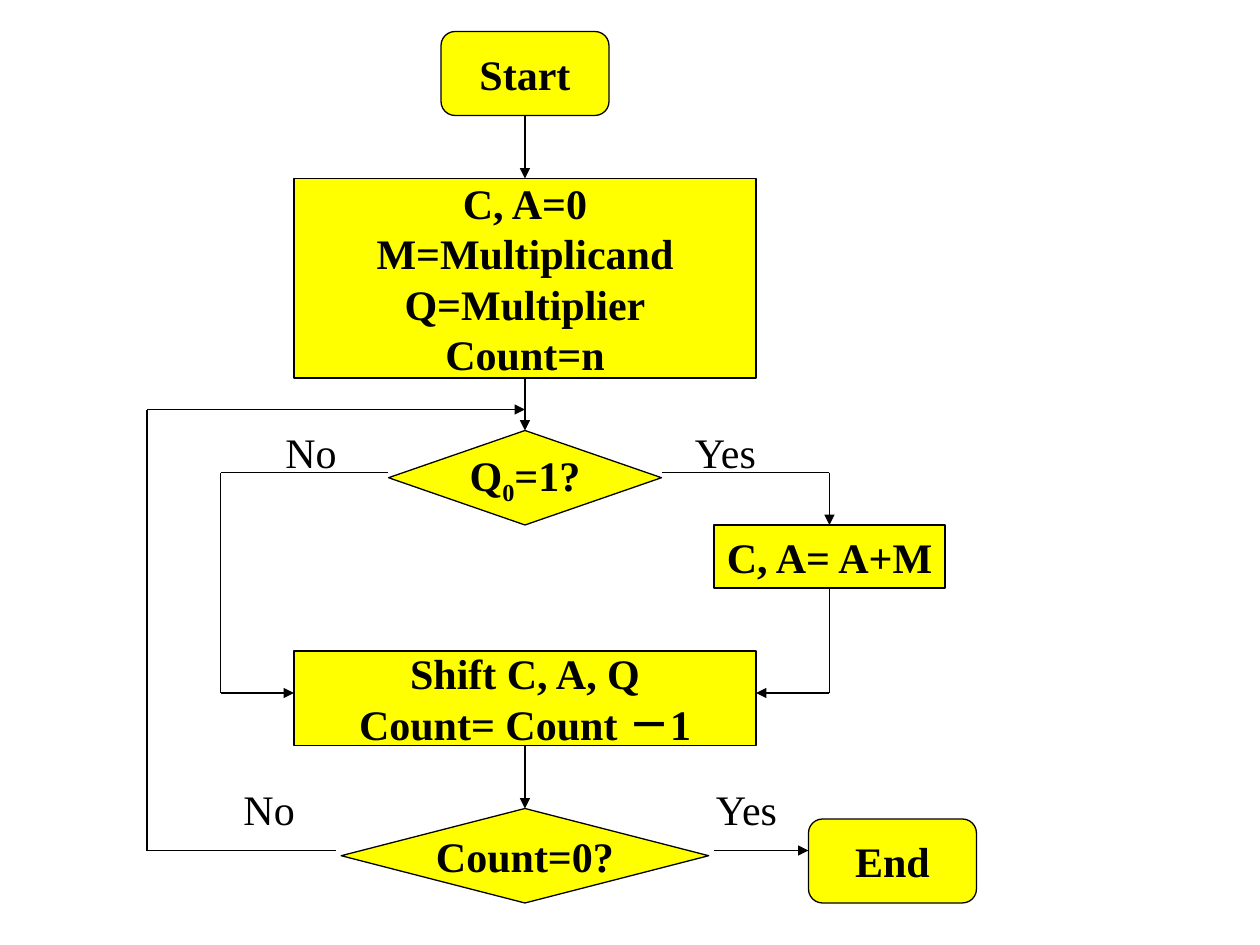
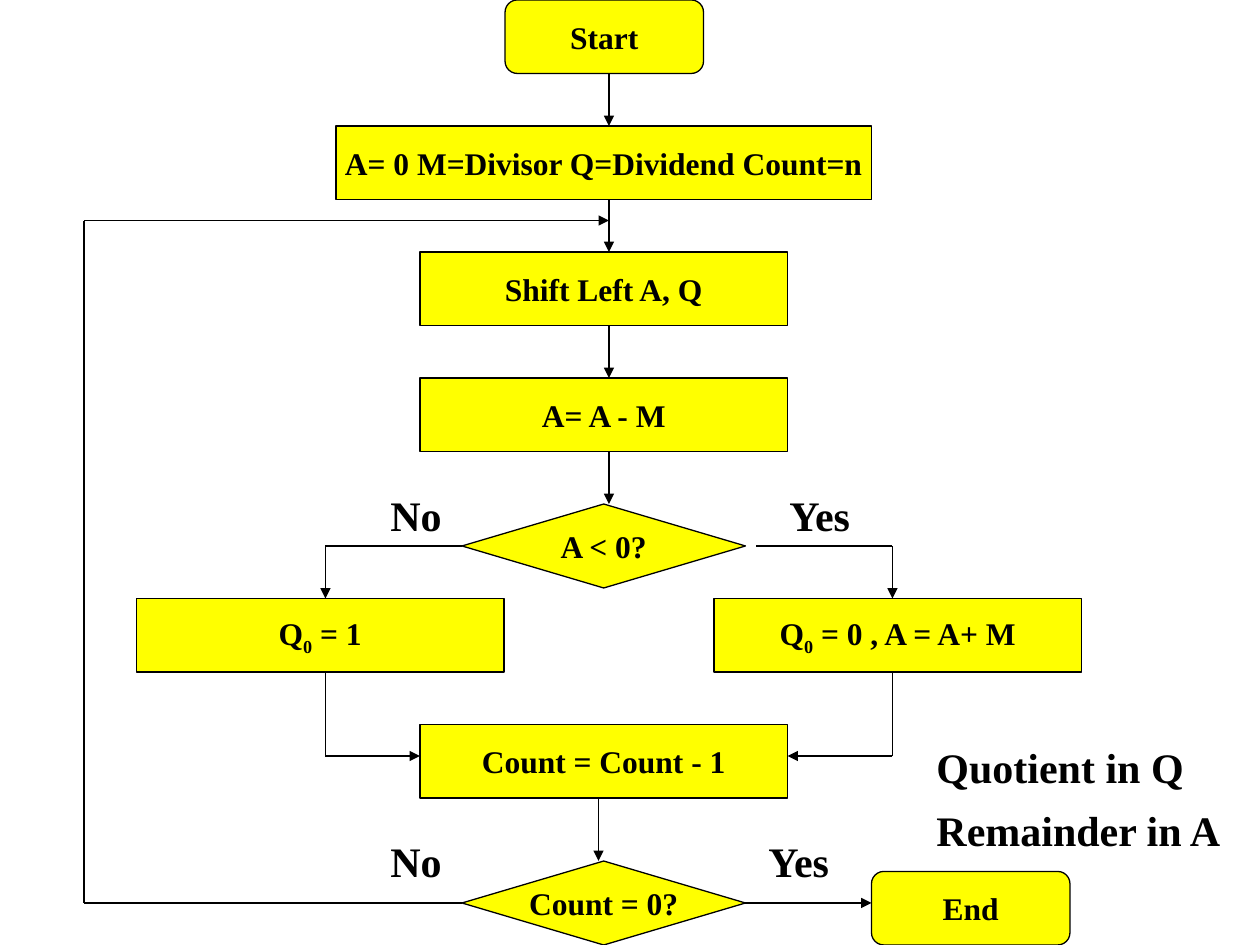
from lxml import etree
from pptx import Presentation
from pptx import util as u
from pptx.dml.color import RGBColor
from pptx.enum import shapes, text
from pptx.oxml.ns import qn

COLORS = {"box": "FFFF00", "ink": "000000"}
FONT = "Times New Roman"
COLUMNS, ROWS = 120, 90
KINDS = {
    "terminal": shapes.MSO_SHAPE.FLOWCHART_ALTERNATE_PROCESS,
    "process": shapes.MSO_SHAPE.FLOWCHART_PROCESS,
    "decision": shapes.MSO_SHAPE.FLOWCHART_DECISION,
}


class Flowchart:
    """One slide at a time, placed on a grid of 120 columns by 90 rows."""

    def __init__(self):
        self.presentation = Presentation()
        self.presentation.slide_width = u.Inches(10)
        self.presentation.slide_height = u.Inches(7.5)
        self.cell_width = self.presentation.slide_width / COLUMNS
        self.cell_height = self.presentation.slide_height / ROWS

    def new_slide(self, node_size, label_bold):
        layout = self.presentation.slide_layouts[6]
        self.slide = self.presentation.slides.add_slide(layout)
        self.node_size = node_size
        self.label_bold = label_bold

    def point(self, column, row):
        return round(column * self.cell_width), round(row * self.cell_height)

    def area(self, column, row, width, height):
        return *self.point(column, row), *self.point(width, height)

    def add_runs(self, paragraph, runs, size, bold):
        """Every second run is a subscript."""
        for index, words in enumerate(runs):
            run = paragraph.add_run()
            run.text = words
            run.font.name = FONT
            run.font.size = u.Pt(size)
            run.font.bold = bold
            run.font.color.rgb = RGBColor.from_string(COLORS["ink"])
            if index % 2:
                run.font._element.set("baseline", "-25000")

    def node(self, kind, place, *lines):
        """A line is a string, or a tuple that alternates normal and subscript."""
        shape = self.slide.shapes.add_shape(KINDS[kind], *self.area(*place))
        shape.shadow.inherit = False
        shape.fill.solid()
        shape.fill.fore_color.rgb = RGBColor.from_string(COLORS["box"])
        self.stroke(shape.line, 0.75)
        frame = shape.text_frame
        frame.word_wrap = False
        frame.vertical_anchor = text.MSO_ANCHOR.MIDDLE
        for index, line in enumerate(lines):
            paragraph = frame.add_paragraph() if index else frame.paragraphs[0]
            paragraph.alignment = text.PP_ALIGN.CENTER
            runs = (line,) if isinstance(line, str) else line
            self.add_runs(paragraph, runs, self.node_size, True)

    def label(self, words, column, row, width=9):
        box = self.slide.shapes.add_textbox(*self.area(column, row, width, 6))
        box.text_frame.word_wrap = True
        box.text_frame.auto_size = text.MSO_AUTO_SIZE.SHAPE_TO_FIT_TEXT
        self.add_runs(box.text_frame.paragraphs[0], (words,), 24, self.label_bold)

    def stroke(self, line, weight):
        line.color.rgb = RGBColor.from_string(COLORS["ink"])
        line.width = u.Pt(weight)

    def route(self, *points, weight=0.75, arrow=True):
        """Straight lines from point to point, with an arrowhead at the last."""
        for start, end in zip(points, points[1:]):
            connector = self.slide.shapes.add_connector(
                shapes.MSO_CONNECTOR.STRAIGHT, *self.point(*start), *self.point(*end))
            self.stroke(connector.line, weight)
            properties = connector._element.spPr
            if arrow and end == points[-1]:
                outline = properties.find(qn("a:ln"))
                etree.SubElement(outline, qn("a:tailEnd"), type="triangle")
            etree.SubElement(properties, qn("a:effectLst"))


def draw_multiplication(chart):
    chart.new_slide(node_size=24, label_bold=False)
    chart.node("terminal", (42, 3, 16, 8), "Start")
    chart.node("process", (28, 17, 44, 19),
               "C, A=0", "M=Multiplicand", "Q=Multiplier", "Count=n")
    chart.node("process", (28, 62, 44, 9), "Shift C, A, Q", "Count= Count －1")
    chart.node("decision", (37, 41, 26, 9), ("Q", "0", "=1?"))
    chart.node("process", (68, 50, 22, 6), "C, A= A+M")
    chart.node("decision", (32.5, 77, 35, 9), "Count=0?")
    chart.node("terminal", (77, 78, 16, 8), "End")

    middle, add_column = 50, 79
    for top, bottom in ((11, 17), (36, 41), (71, 77)):
        chart.route((middle, top), (middle, bottom))
    chart.route((63, 45), (add_column, 45), (add_column, 50))
    chart.route((add_column, 56), (add_column, 66), (72, 66))
    chart.route((37, 45), (21, 45), (21, 66), (28, 66))
    chart.route((68, 81), (77, 81))
    chart.route((32, 81), (14, 81), (14, 39), (middle, 39))

    chart.label("Yes", 67, 74)
    chart.label("Yes", 65, 40)
    chart.label("No", 22, 74)
    chart.label("No", 26, 40)


def draw_division(chart):
    chart.new_slide(node_size=18, label_bold=True)
    step_width, step_height = 35, 7
    chart.node("terminal", (48.1, 0, 18.9, step_height), "Start")
    chart.node("process", (32, 12, 51, step_height),
               "A= 0 M=Divisor Q=Dividend Count=n")
    steps = (
        (40, 24, "Shift Left A, Q"),
        (40, 36, "A= A - M"),
        (13, 57, ("Q", "0", " = 1")),
        (68, 57, ("Q", "0", " = 0 , A = A+ M")),
        (40, 69, "Count = Count - 1"),
    )
    for column, row, line in steps:
        chart.node("process", (column, row, step_width, step_height), line)
    chart.node("decision", (44, 48, 27, 8), "A < 0?")
    chart.node("decision", (44, 82, 27, 8), "Count = 0?")
    chart.node("terminal", (83, 83, 18.9, step_height), "End")

    middle = 58
    for row in range(12, 49, 12):
        chart.route((middle, row - 5), (middle, row), weight=1)
    for decision_edge, branch, count_edge in ((44, 31, 40), (72, 85, 75)):
        chart.route((decision_edge, 52), (branch, 52), arrow=False)
        chart.route((branch, 52), (branch, 57), weight=1)
        chart.route((branch, 64), (branch, 72), (count_edge, 72))
    chart.route((57, 76), (57, 82))
    chart.route((71, 86), (83, 86))
    chart.route((44, 86), (8, 86), (8, 21), (middle, 21))

    chart.label("No", 36, 79)
    chart.label("No", 36, 46)
    chart.label("Yes", 72, 79)
    chart.label("Yes", 74, 46)
    chart.label("Quotient in Q", 88, 70, width=26)
    chart.label("Remainder in A", 88, 76, width=32)


def main():
    chart = Flowchart()
    draw_multiplication(chart)
    draw_division(chart)
    chart.presentation.save("out.pptx")


if __name__ == "__main__":
    main()
